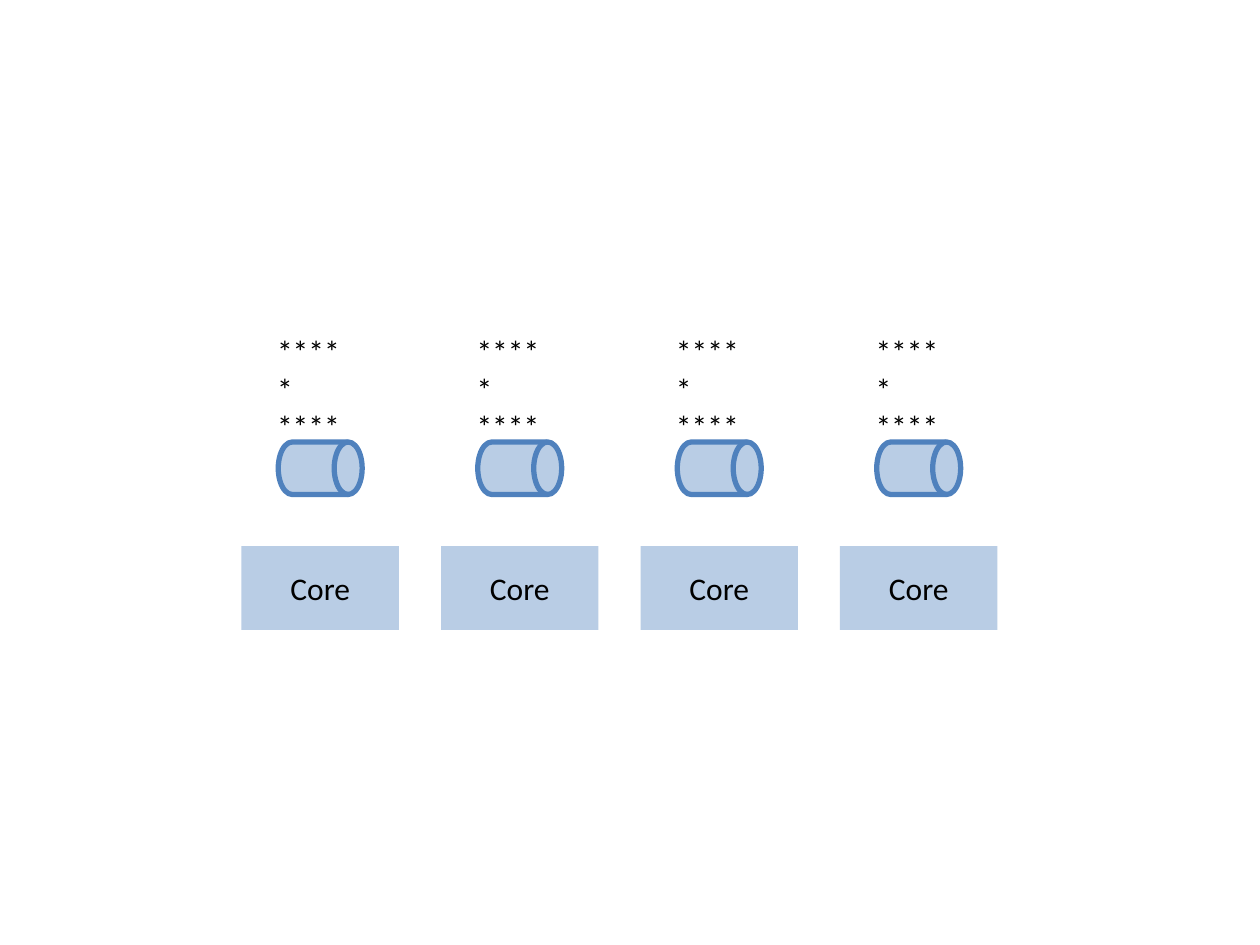
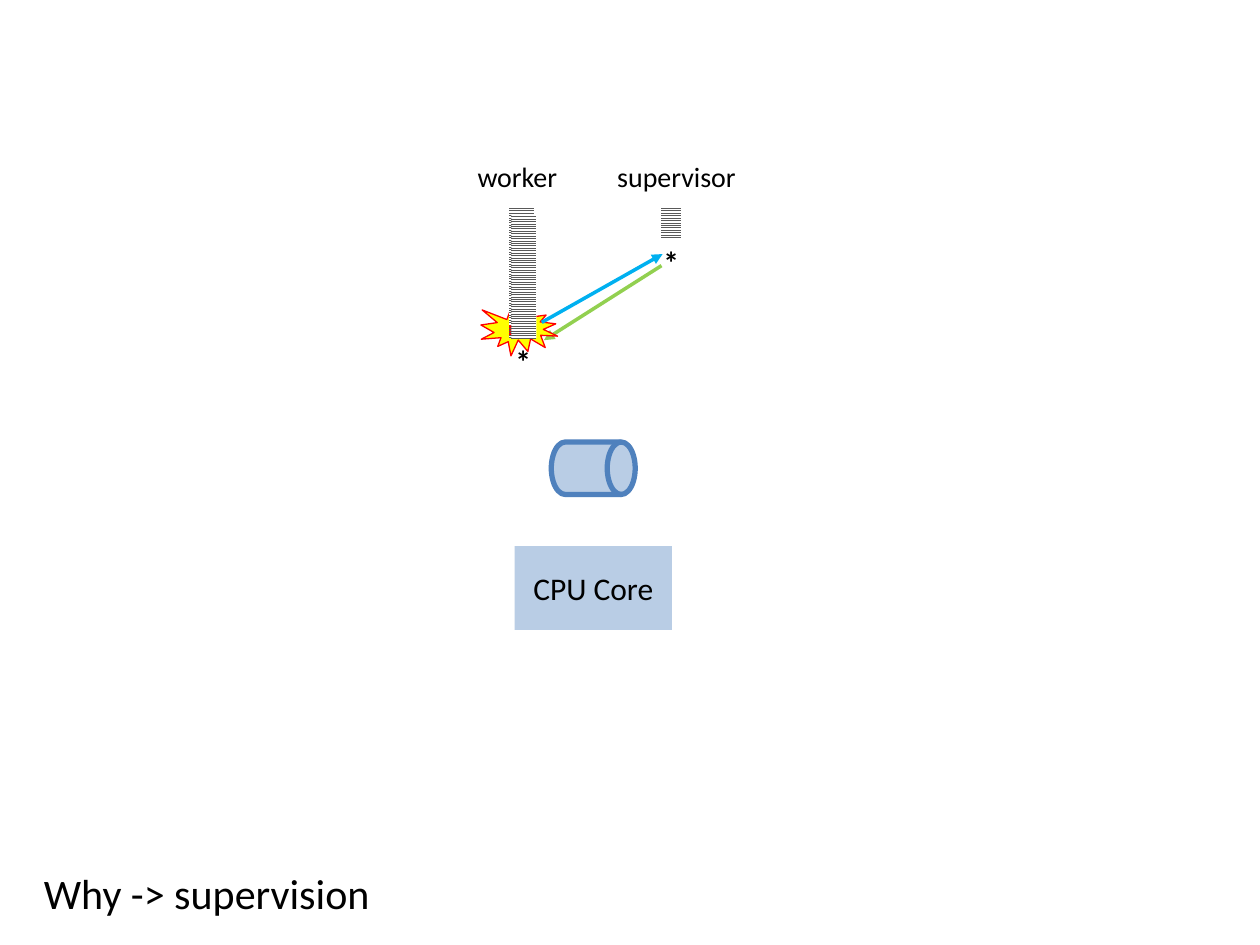
from dataclasses import dataclass

from lxml.etree import SubElement
from pptx import Presentation
from pptx.dml.color import RGBColor
from pptx.enum.dml import MSO_PATTERN
from pptx.enum.shapes import MSO_CONNECTOR, MSO_SHAPE
from pptx.enum.text import MSO_ANCHOR, MSO_AUTO_SIZE, PP_ALIGN
from pptx.oxml.ns import qn
from pptx.util import Pt

EMU_PER_PX = 7620  # 120 px to the inch


@dataclass(frozen=True)
class Theme:
    font: str = "Calibri"
    ink: str = "000000"
    core: str = "B9CDE5"
    queue_edge: str = "4F81BD"
    stack_line: str = "595959"
    stack_back: str = "FFFFFF"
    crash: str = "FFFF00"
    crash_edge: str = "FF0000"
    report: str = "00B0F0"
    restart: str = "92D050"
    caption_size: int = 24
    body_size: int = 18
    label_size: int = 16
    queue_width: float = 3
    arrow_width: float = 2
    crash_width: float = 0.75


def px(*lengths):
    return [length * EMU_PER_PX for length in lengths]


def rgb(code):
    return RGBColor.from_string(code)


class Deck:
    def __init__(self, theme):
        self.theme = theme
        self.presentation = Presentation()
        self.presentation.slide_width, self.presentation.slide_height = px(1200, 900)
        self.slide = None

    def new_slide(self):
        self.slide = self.presentation.slides.add_slide(self.presentation.slide_layouts[6])

    def add_runs(self, paragraph, text, size, bold=False):
        """Add text run by run, with a line break at each newline."""
        for index, line in enumerate(text.split("\n")):
            if index:
                paragraph.add_line_break()
            run = paragraph.add_run()
            run.text = line
            run.font.name = self.theme.font
            run.font.size = Pt(size)
            run.font.bold = bold
            run.font.color.rgb = rgb(self.theme.ink)

    def text(self, box, text, size, bold=False, wrap=False):
        frame = self.slide.shapes.add_textbox(*px(*box)).text_frame
        frame.word_wrap = wrap
        frame.auto_size = MSO_AUTO_SIZE.SHAPE_TO_FIT_TEXT
        self.add_runs(frame.paragraphs[0], text, size, bold)

    def shape(self, preset, box, fill=None, edge=None, width=0):
        shape = self.slide.shapes.add_shape(preset, *px(*box))
        shape.shadow.inherit = False
        if fill:
            shape.fill.solid()
            shape.fill.fore_color.rgb = rgb(fill)
        if edge:
            shape.line.color.rgb = rgb(edge)
            shape.line.width = Pt(width)
        else:
            shape.line.fill.background()
        return shape

    def core_with_queue(self, left, name):
        """Draw a processor core and, above it, its run queue."""
        theme = self.theme
        core = self.shape(MSO_SHAPE.RECTANGLE, (left, 520, 150, 80), theme.core)
        core.text_frame.vertical_anchor = MSO_ANCHOR.MIDDLE
        paragraph = core.text_frame.paragraphs[0]
        paragraph.alignment = PP_ALIGN.CENTER
        self.add_runs(paragraph, name, theme.body_size)
        self.shape(MSO_SHAPE.FLOWCHART_DIRECT_ACCESS_STORAGE, (left + 35, 421, 80, 50),
                   theme.core, theme.queue_edge, theme.queue_width)

    def call_stack(self, box, back=None):
        """Draw a stack of frames as a hatched bar."""
        fill = self.shape(MSO_SHAPE.RECTANGLE, box).fill
        fill.patterned()
        fill.pattern = MSO_PATTERN.LIGHT_HORIZONTAL
        fill.fore_color.rgb = rgb(self.theme.stack_line)
        fill.back_color.rgb = rgb(back or self.theme.stack_back)

    def process(self, left, top):
        self.text((left, top, 40, 48), "*", self.theme.body_size, bold=True)

    def arrow(self, start, end, color):
        arrow = self.slide.shapes.add_connector(MSO_CONNECTOR.STRAIGHT, *px(*start, *end))
        arrow.line.color.rgb = rgb(color)
        arrow.line.width = Pt(self.theme.arrow_width)
        properties = arrow._element.spPr
        SubElement(properties.find(qn("a:ln")), qn("a:tailEnd"), type="triangle")
        SubElement(properties, qn("a:effectLst"))


def cores_slide(deck):
    deck.new_slide()
    for lane in range(4):
        left = 230 + 190 * lane
        deck.text((left + 22, 310, 88, 85), "*****\n*****", deck.theme.body_size, wrap=True)
        deck.core_with_queue(left, "Core")


def supervision_slide(deck):
    theme = deck.theme
    deck.new_slide()
    deck.arrow((630, 253), (518, 324), theme.restart)
    deck.shape(MSO_SHAPE.EXPLOSION1, (458, 290, 73, 49),
               theme.crash, theme.crash_edge, theme.crash_width)
    deck.core_with_queue(490, "CPU Core")
    deck.process(479, 320)
    deck.process(620, 226)
    deck.call_stack((485, 196, 24, 125))
    deck.call_stack((630, 196, 19, 30))
    deck.call_stack((485, 310, 24, 10), theme.crash_edge)
    deck.call_stack((487, 204, 24, 118))
    deck.arrow((516, 307), (631, 242), theme.report)
    deck.text((576, 146, 138, 44), "supervisor", theme.label_size)
    deck.text((443, 146, 102, 44), "worker", theme.label_size)
    deck.text((30, 820, 1130, 60), "Why -> supervision", theme.caption_size, wrap=True)


def main():
    deck = Deck(Theme())
    cores_slide(deck)
    supervision_slide(deck)
    deck.presentation.save("out.pptx")


if __name__ == "__main__":
    main()
